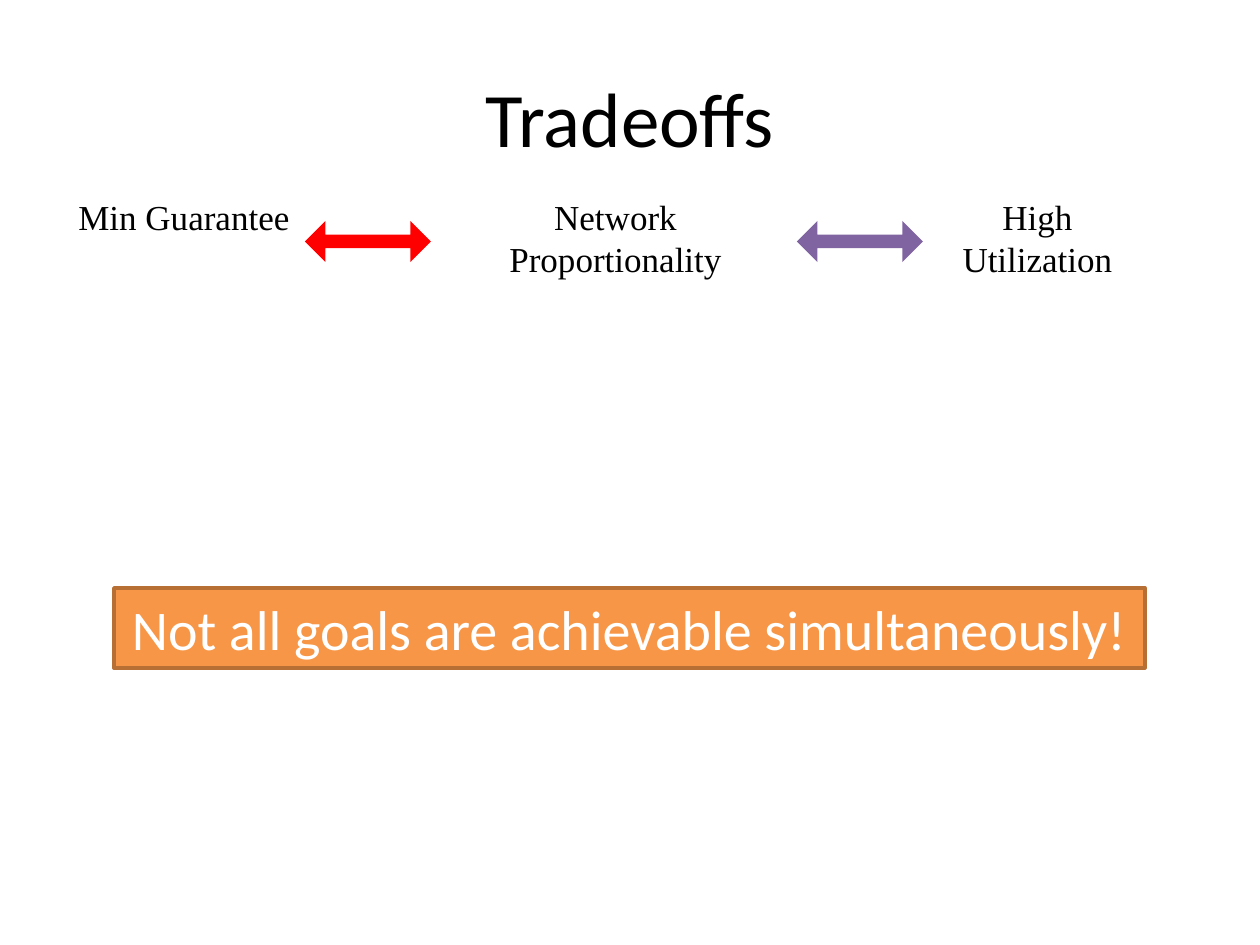
from pptx import Presentation
from pptx.dml.color import RGBColor
from pptx.enum.shapes import MSO_SHAPE as SHAPE
from pptx.enum.text import MSO_ANCHOR as ANCHOR, PP_ALIGN as ALIGN
from pptx.util import Emu, Pt

COLORS = {
    "text": "000000",
    "white": "FFFFFF",
    "red": "FF0000",
    "purple": "8064A2",
    "orange": "F79646",
    "border": "B76F34",
}
LABELS = [
    ("Min Guarantee", 63, 242),
    ("Network Proportionality", 441, 349),
    ("High Utilization", 914, 247),
]
ARROWS = [(305, "red"), (797, "purple")]


def px(n):
    return Emu(round(n * 914400 / 126))


def box(*lengths):
    return [px(n) for n in lengths]


def color(name):
    return RGBColor.from_string(COLORS[name])


def write(s, text, size, font, name, anchor):
    tf = s.text_frame
    tf.word_wrap = True
    tf.vertical_anchor = anchor
    p = tf.paragraphs[0]
    p.text = text
    p.alignment = ALIGN.CENTER
    p.font.size = Pt(size)
    p.font.name = font
    p.font.color.rgb = color(name)
    return tf


def add_title(slide, text):
    s = slide.shapes.title
    s.left, s.top, s.width, s.height = box(63, 38, 1134, 157)
    write(s, text, 44, "Calibri", "text", ANCHOR.MIDDLE)


def add_label(slide, text, left, width):
    s = slide.shapes.add_textbox(*box(left, 189, width, 97))
    write(s, text, 20, "Times New Roman", "text", ANCHOR.TOP)


def add_filled(slide, kind, bounds, fill):
    s = slide.shapes.add_shape(kind, *box(*bounds))
    s.shadow.inherit = False
    s.fill.solid()
    s.fill.fore_color.rgb = color(fill)
    return s


def add_arrow(slide, left, fill):
    s = add_filled(slide, SHAPE.LEFT_RIGHT_ARROW, (left, 221, 126, 41), fill)
    s.adjustments[0] = 0.33
    s.adjustments[1] = 0.5
    s.line.fill.background()


def add_banner(slide, text):
    s = add_filled(slide, SHAPE.RECTANGLE, (114, 588, 1031, 80), "orange")
    s.line.color.rgb = color("border")
    s.line.width = Pt(2)
    tf = write(s, text, 32, "Calibri", "white", ANCHOR.TOP)
    tf.word_wrap = False


def main():
    prs = Presentation()
    prs.slide_width, prs.slide_height = box(1260, 945)
    slide = prs.slides.add_slide(prs.slide_layouts[5])
    add_title(slide, "Tradeoffs")
    for label in LABELS:
        add_label(slide, *label)
    for arrow in ARROWS:
        add_arrow(slide, *arrow)
    add_banner(slide, "Not all goals are achievable simultaneously!")
    prs.save("out.pptx")


if __name__ == "__main__":
    main()
